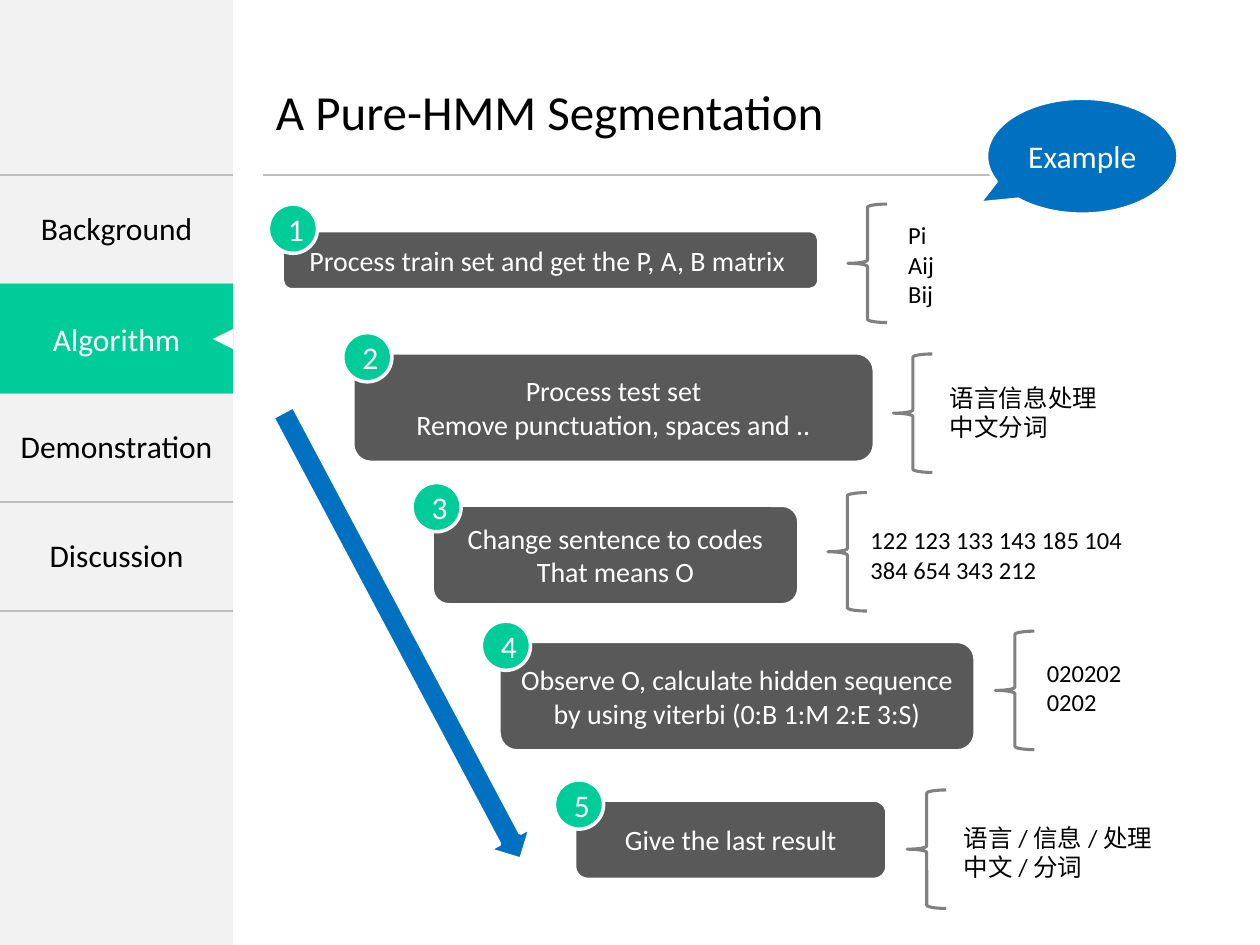
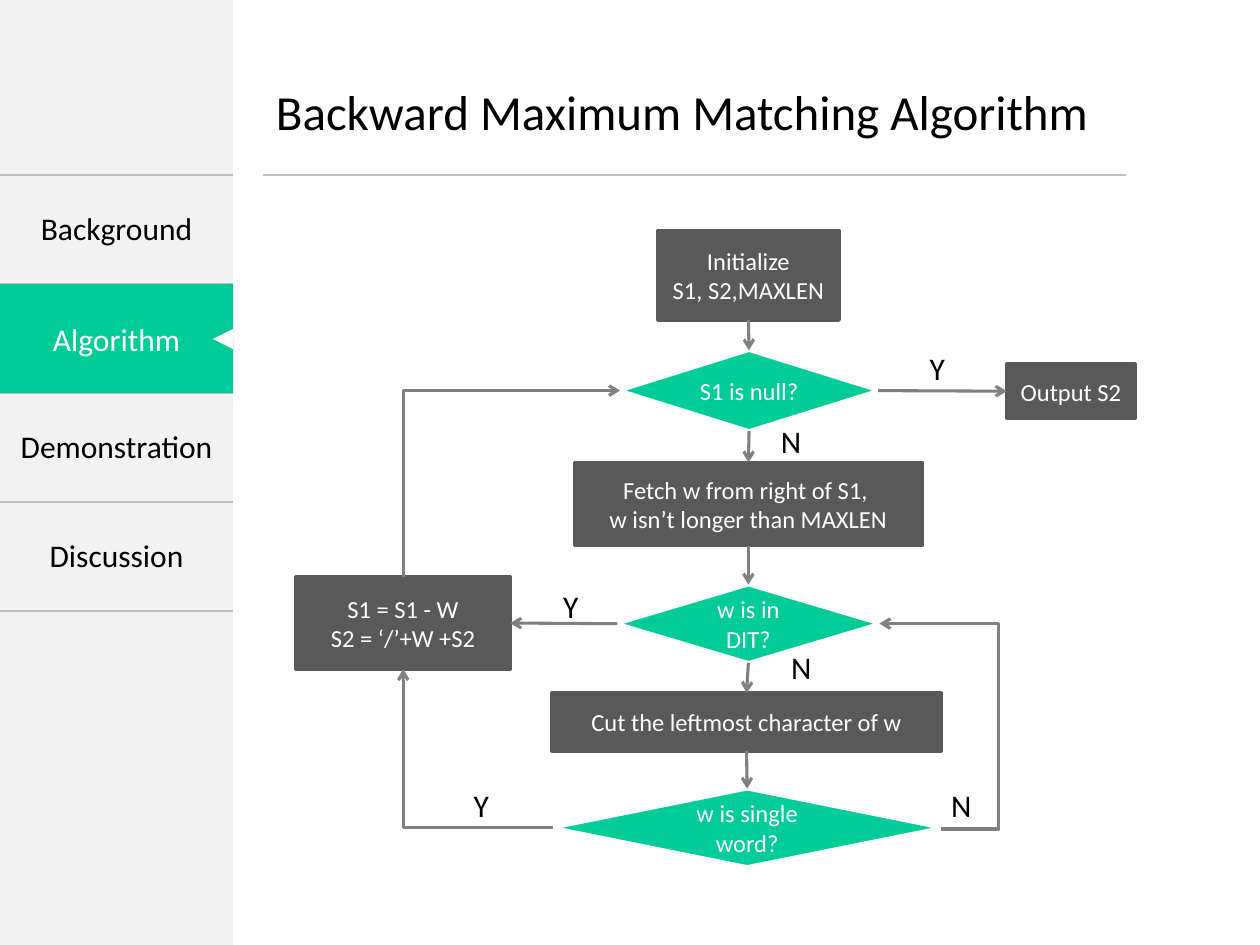
from lxml import etree
from pptx import Presentation
from pptx.dml.color import RGBColor
from pptx.enum import shapes as s, text as t
from pptx.oxml import parse_xml
from pptx.oxml.ns import nsdecls, qn
from pptx.util import Inches, Pt

FONT = "Calibri"
BLACK = RGBColor(0x00, 0x00, 0x00)
WHITE = RGBColor(0xFF, 0xFF, 0xFF)
PALE = RGBColor(0xF2, 0xF2, 0xF2)
RULE = RGBColor(0xBF, 0xBF, 0xBF)
GRAY = RGBColor(0x80, 0x80, 0x80)
DARK = RGBColor(0x59, 0x59, 0x59)
GREEN = RGBColor(0x00, 0xCC, 0x99)
BLUE = RGBColor(0x00, 0x70, 0xC0)
SHAPE = s.MSO_SHAPE
TOP, LEFT, BOTTOM, RIGHT = range(4)  # connection sites

SECTIONS = ["Background", "Algorithm", "Demonstration", "Discussion"]
CURRENT = "Algorithm"
SIDEBAR_WIDTH, MENU_TOP, ROW_HEIGHT = 1.85, 1.39, 0.865

HMM_TITLE = "A Pure-HMM Segmentation"
# Step box, step text, badge corner, brace corner, example box, example text, example wraps
HMM_STEPS = [
    ((2.24, 1.83, 4.26, 0.47), ["Process train set and get the P, A, B matrix "],
     (2.13, 1.62), (6.73, 1.62), (7.11, 1.7, 0.41, 0.81), ["Pi", "Aij", "Bij"], False),
    ((2.8, 2.8, 4.14, 0.87), ["Process test set", "Remove punctuation, spaces and .."],
     (2.72, 2.64), (7.09, 2.81), (7.44, 2.99, 1.38, 0.57), ["语言信息处理", "中文分词"], False),
    ((3.43, 4.01, 2.91, 0.79), ["Change sentence to codes", "That means O"],
     (3.27, 3.83), (6.57, 3.91), (6.81, 4.12, 2.22, 0.57),
     ["122 123 133 143 185 104", "384 654 343 212"], False),
    ((3.96, 5.09, 3.78, 0.87),
     ["Observe O, calculate hidden sequence by using viterbi (0:B 1:M 2:E 3:S)"],
     (3.82, 4.93), (7.9, 5.01), (8.21, 5.17, 0.8, 0.57), ["020202", "0202"], False),
    ((4.56, 6.35, 2.48, 0.63), ["Give the last result"],
     (4.4, 6.19), (7.2, 6.27), (7.55, 6.48, 1.71, 0.57),
     ["语言 / 信息 / 处理", "中文 / 分词"], True),
]

MATCHING_TITLE = "Backward Maximum Matching Algorithm"
ACTIONS = {
    "init": ((5.22, 1.83, 1.44, 0.71), ["Initialize", "S1, S2,MAXLEN"]),
    "fetch": ((4.56, 3.67, 2.76, 0.66),
              ["Fetch w from right of S1, ", "w isn’t longer than MAXLEN"]),
    "cut": ((4.38, 5.5, 3.09, 0.46), ["Cut the leftmost character of w"]),
    "move": ((2.35, 4.58, 1.7, 0.73), ["S1 = S1 - W", "S2 = ‘/’+W +S2"]),
    "output": ((7.99, 2.89, 1.02, 0.43), ["Output S2"]),
}
DECISIONS = {
    "empty": ((4.92, 2.78, 2.05, 0.64), ["S1 is null?"]),
    "known": ((4.9, 4.64, 2.08, 0.62), ["w is in DIT?"]),
    "single": ((4.39, 6.26, 3.08, 0.62), ["w is single word?"]),
}
STRAIGHT_FLOWS = [
    ("init", BOTTOM, "empty", TOP), ("empty", BOTTOM, "fetch", TOP),
    ("fetch", BOTTOM, "known", TOP), ("known", BOTTOM, "cut", TOP),
    ("cut", BOTTOM, "single", TOP), ("empty", RIGHT, "output", LEFT),
    ("known", LEFT, "move", RIGHT),
]
# Ends, then box, rotation, flipped both ways, preset, bend position
BENT_FLOWS = [
    (("move", TOP, "empty", LEFT), (3.32, 2.98, 1.48, 1.72), 90, True, "bentConnector2", None),
    (("single", LEFT, "move", BOTTOM), (3.2, 5.31, 1.19, 1.26), 180, False,
     "bentConnector2", None),
    (("single", RIGHT, "known", RIGHT), (6.98, 4.95, 0.49, 1.63), 0, True,
     "bentConnector3", -92800),
]
ANSWERS = [("Y", 7.28, 2.72), ("N", 6.1, 3.3), ("Y", 4.37, 4.61),
           ("Y", 3.66, 6.19), ("N", 7.45, 6.19), ("N", 6.18, 5.09)]


def inches(*lengths):
    return [Inches(length) for length in lengths]


def write(frame, lines, size, color, align=t.PP_ALIGN.CENTER):
    frame.text = "\n".join(lines)
    for paragraph in frame.paragraphs:
        paragraph.alignment = align
        font = paragraph.font
        font.name, font.size, font.color.rgb = FONT, Pt(size), color


def add_block(slide, kind, box, fill=None, line=None, width=2, lines=(), size=18):
    block = slide.shapes.add_shape(kind, *inches(*box))
    block.shadow.inherit = False
    if fill is None:
        block.fill.background()
    else:
        block.fill.solid()
        block.fill.fore_color.rgb = fill
    if line is None:
        block.line.fill.background()
    else:
        block.line.color.rgb, block.line.width = line, Pt(width)
    if lines:
        block.text_frame.vertical_anchor = t.MSO_ANCHOR.MIDDLE
        write(block.text_frame, lines, size, WHITE)
    return block


def add_note(slide, box, lines, size, wrap=False):
    frame = slide.shapes.add_textbox(*inches(*box)).text_frame
    frame.word_wrap = wrap
    frame.auto_size = t.MSO_AUTO_SIZE.SHAPE_TO_FIT_TEXT
    write(frame, lines, size, BLACK, t.PP_ALIGN.LEFT)


def add_line(slide, kind, ends, color, width, arrow=False):
    line = slide.shapes.add_connector(kind, *inches(*ends))
    line.line.color.rgb, line.line.width = color, Pt(width)
    if arrow:
        etree.SubElement(line.line._get_or_add_ln(), qn("a:tailEnd"), type="arrow")
    etree.SubElement(line._element.spPr, qn("a:effectLst"))
    return line


def rule_cell(cell):
    """Draw only the top and bottom borders of a menu cell."""
    properties = cell._tc.get_or_add_tcPr()
    for side in "LRTB":
        paint = "<a:noFill/>" if side in "LR" else (
            f'<a:solidFill><a:srgbClr val="{RULE}"/></a:solidFill>')
        properties.append(parse_xml(
            f'<a:ln{side} {nsdecls("a")} w="{Pt(1)}">{paint}</a:ln{side}>'))
    cell.fill.background()


def add_sidebar(slide):
    add_block(slide, SHAPE.RECTANGLE, (0, 0, SIDEBAR_WIDTH, 7.5), PALE)
    menu = slide.shapes.add_table(len(SECTIONS), 1, *inches(
        0, MENU_TOP, SIDEBAR_WIDTH, ROW_HEIGHT * len(SECTIONS))).table
    menu.first_row = menu.horz_banding = False
    for row, section in enumerate(SECTIONS):
        cell = menu.cell(row, 0)
        rule_cell(cell)
        cell.vertical_anchor = t.MSO_ANCHOR.MIDDLE
        if section != CURRENT:
            write(cell.text_frame, [section], 18, BLACK)
    current_top = MENU_TOP + ROW_HEIGHT * SECTIONS.index(CURRENT)
    add_block(slide, SHAPE.RECTANGLE, (0, current_top, SIDEBAR_WIDTH, ROW_HEIGHT),
              GREEN, lines=[CURRENT])
    pointer = add_block(slide, SHAPE.ISOSCELES_TRIANGLE,
                        (SIDEBAR_WIDTH - 0.16, 2.61, 0.16, 0.16), WHITE)
    pointer.rotation = 270


def add_page(deck, heading):
    slide = deck.slides.add_slide(deck.slide_layouts[5])
    title = slide.shapes.title
    title.left, title.top, title.width, title.height = inches(2.09, 0.6, 6.93, 0.57)
    title.text_frame.vertical_anchor = t.MSO_ANCHOR.TOP
    write(title.text_frame, [heading], 28, BLACK, t.PP_ALIGN.LEFT)
    add_sidebar(slide)
    add_line(slide, s.MSO_CONNECTOR.STRAIGHT, (2.09, MENU_TOP, 8.94, MENU_TOP), RULE, 0.75)
    return slide


def build_hmm(deck):
    slide = add_page(deck, HMM_TITLE)
    callout = add_block(slide, SHAPE.OVAL_CALLOUT, (7.83, 0.78, 1.52, 0.92),
                        BLUE, WHITE, lines=["Example"])
    callout.adjustments[0], callout.adjustments[1] = -0.538, 0.404
    progress = add_block(slide, SHAPE.RIGHT_ARROW, (1.18, 4.86, 4.02, 0.37), BLUE, WHITE)
    progress.rotation = 62
    for number, (box, step, badge, brace, example_box, example, wrap) in enumerate(HMM_STEPS, 1):
        add_block(slide, SHAPE.ROUNDED_RECTANGLE, box, DARK, WHITE, lines=step, size=16)
        add_block(slide, SHAPE.OVAL, (*badge, 0.39, 0.39), GREEN, WHITE, lines=[str(number)])
        add_block(slide, SHAPE.LEFT_BRACE, (*brace, 0.31, 0.94), line=GRAY, width=1.75)
        add_note(slide, example_box, example, 14, wrap)


def add_flow(slide, nodes, kind, ends):
    source, source_site, target, target_site = ends
    flow = add_line(slide, kind, (0, 0, 0, 0), GRAY, 1.75, arrow=True)
    flow.begin_connect(nodes[source], source_site)
    flow.end_connect(nodes[target], target_site)
    return flow


def bend(flow, box, rotation, flipped, preset, position):
    """Give an elbow connector its turn, which the public methods cannot set."""
    flow.left, flow.top, flow.width, flow.height = inches(*box)
    frame = flow._element.spPr.find(qn("a:xfrm"))
    frame.set("rot", str(rotation * 60000))
    for flip in ("flipH", "flipV"):
        frame.set(flip, str(int(flipped)))
    geometry = flow._element.spPr.find(qn("a:prstGeom"))
    geometry.set("prst", preset)
    if position is not None:
        etree.SubElement(geometry.find(qn("a:avLst")), qn("a:gd"),
                         name="adj1", fmla=f"val {position}")


def build_matching(deck):
    slide = add_page(deck, MATCHING_TITLE)
    nodes = {}
    for group, kind, fill, line in ((ACTIONS, SHAPE.RECTANGLE, DARK, DARK),
                                    (DECISIONS, SHAPE.FLOWCHART_DECISION, GREEN, WHITE)):
        for name, (box, lines) in group.items():
            nodes[name] = add_block(slide, kind, box, fill, line, lines=lines, size=14)
    for ends in STRAIGHT_FLOWS:
        add_flow(slide, nodes, s.MSO_CONNECTOR.STRAIGHT, ends)
    for ends, *turn in BENT_FLOWS:
        bend(add_flow(slide, nodes, s.MSO_CONNECTOR.ELBOW, ends), *turn)
    for answer, left, top in ANSWERS:
        add_note(slide, (left, top, 0.32 if answer == "Y" else 0.36, 0.4), [answer], 18)


def main():
    deck = Presentation()
    deck.slide_width, deck.slide_height = inches(10, 7.5)
    build_hmm(deck)
    build_matching(deck)
    deck.save("out.pptx")


if __name__ == "__main__":
    main()
